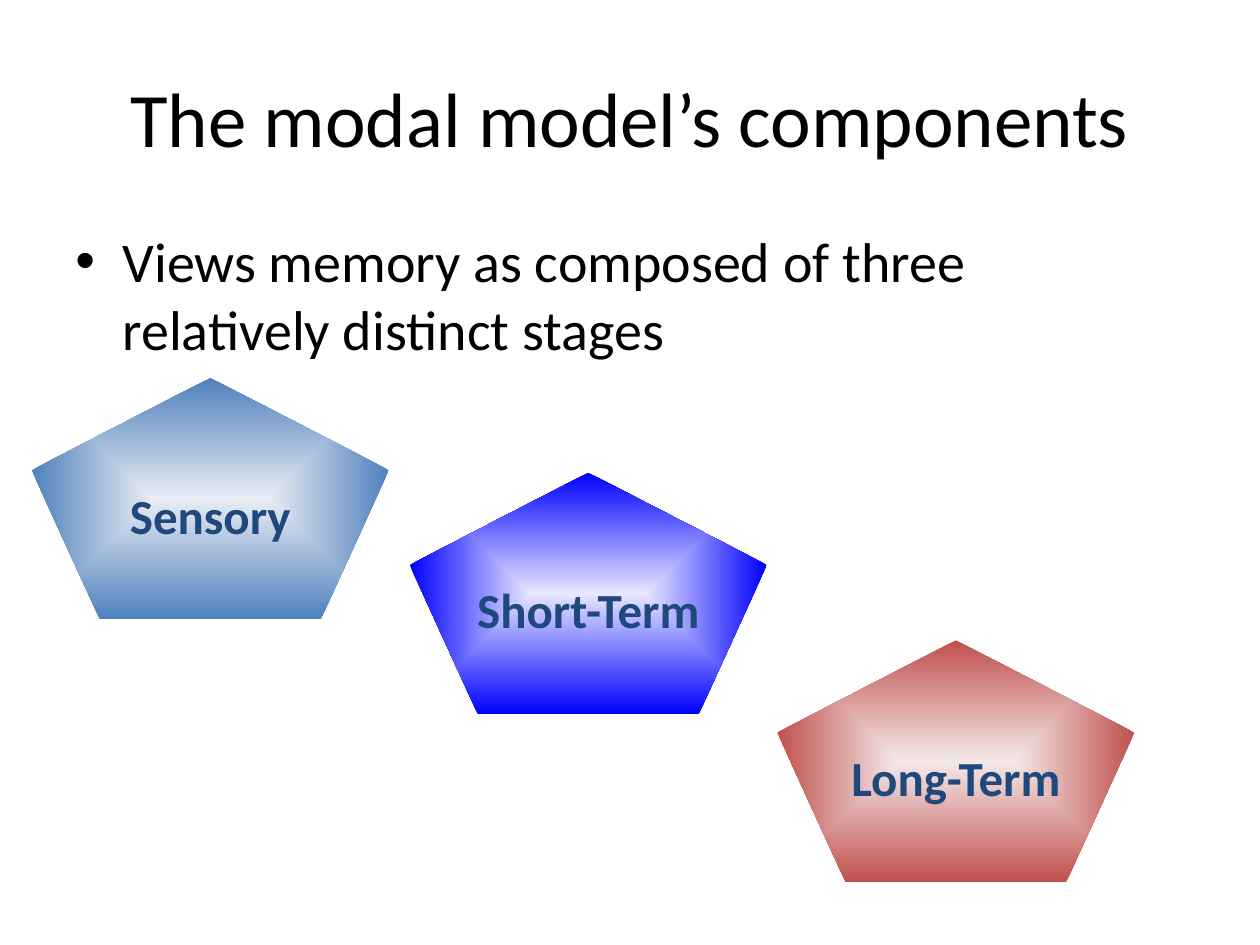
import pptx
import pptx.util
import pptx.dml.color
import pptx.enum.shapes
import pptx.enum.text
import pptx.oxml
import pptx.oxml.ns
import lxml.etree

Cm, Pt = pptx.util.Cm, pptx.util.Pt
Anchor = pptx.enum.text.MSO_ANCHOR
Align = pptx.enum.text.PP_ALIGN

# Content
TITLE = "The modal model’s components"
POINT = "Views memory as composed of three relatively distinct stages"
# label, left and top in cm, centre colour, edge colour
STAGES = [
    ("Sensory", 0.64, 7.62, "E9ECF3", "4F81BD"),
    ("Short-Term", 8.26, 9.53, "E7E7FF", "0000FF"),
    ("Long-Term", 15.67, 12.91, "F4E9E9", "C0504D"),
]

THEME = {
    "title": {"name": "Calibri", "size": Pt(44), "color": "000000"},
    "body": {"name": "Calibri", "size": Pt(32), "color": "000000"},
    "stage": {"name": "Calibri", "size": Pt(28), "color": "1F497D", "bold": True},
}
MARGIN, WIDTH = Cm(1.27), Cm(22.86)
STAGE_SIZE = Cm(7.2), Cm(4.87)
BULLET_INDENT = Cm(0.95)


def write(shape, text, style, frame_format, align):
    frame = shape.text_frame
    for name, value in frame_format.items():
        setattr(frame, name, value)
    para = frame.paragraphs[0]
    para.alignment = align
    span = para.add_run()
    span.text = text
    for name, value in THEME[style].items():
        if name == "color":
            span.font.color.rgb = pptx.dml.color.RGBColor.from_string(value)
        else:
            setattr(span.font, name, value)
    return para


def add_bullet(para):
    properties = para._p.get_or_add_pPr()
    properties.set("marL", str(BULLET_INDENT))
    properties.set("indent", str(-BULLET_INDENT))
    for tag, name, value in (("a:buFont", "typeface", "Arial"), ("a:buChar", "char", "•")):
        lxml.etree.SubElement(properties, pptx.oxml.ns.qn(tag)).set(name, value)


def fill_from_centre(shape, centre, edge):
    shape.fill.gradient()
    for stop, color in zip(shape.fill.gradient_stops, (centre, edge)):
        stop.color.rgb = pptx.dml.color.RGBColor.from_string(color)
    # Swap the linear direction for a path that spreads from the middle
    gradient = shape._element.spPr.find(pptx.oxml.ns.qn("a:gradFill"))
    gradient.remove(gradient.find(pptx.oxml.ns.qn("a:lin")))
    gradient.append(pptx.oxml.parse_xml(
        f'<a:path {pptx.oxml.ns.nsdecls("a")} path="shape">'
        '<a:fillToRect l="50000" t="50000" r="50000" b="50000"/></a:path>'))


def main():
    deck = pptx.Presentation()
    deck.slide_width, deck.slide_height = Cm(25.4), Cm(19.05)
    page = deck.slides.add_slide(deck.slide_layouts[6])

    # Title and bullet point
    title = page.shapes.add_textbox(MARGIN, Cm(0.76), WIDTH, Cm(3.18))
    write(title, TITLE, "title",
          {"word_wrap": True, "vertical_anchor": Anchor.MIDDLE}, Align.CENTER)
    body = page.shapes.add_textbox(MARGIN, Cm(4.45), WIDTH, Cm(12.57))
    point = write(body, POINT, "body",
                  {"word_wrap": True, "vertical_anchor": Anchor.TOP}, Align.LEFT)
    point.space_before = Pt(6.4)
    add_bullet(point)

    # Memory stages
    stage_format = {"word_wrap": False, "vertical_anchor": Anchor.MIDDLE,
                    "margin_bottom": Cm(0.64)}
    for label, left, top, centre, edge in STAGES:
        stage = page.shapes.add_shape(
            pptx.enum.shapes.MSO_SHAPE.REGULAR_PENTAGON, Cm(left), Cm(top), *STAGE_SIZE)
        stage.shadow.inherit = False
        stage.line.fill.background()
        fill_from_centre(stage, centre, edge)
        write(stage, label, "stage", stage_format, Align.CENTER)

    deck.save("out.pptx")


if __name__ == "__main__":
    main()
